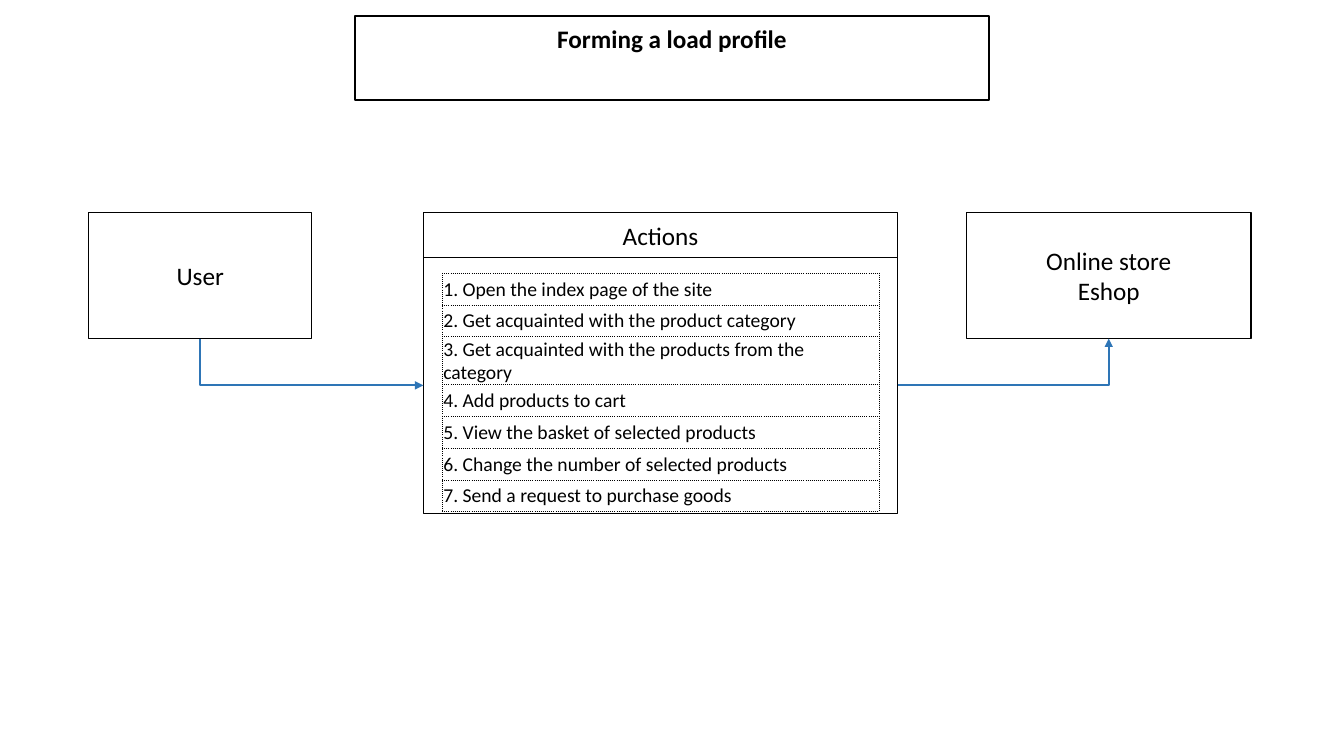
from collections import namedtuple

from lxml import etree
from pptx import Presentation
from pptx import util as u
from pptx.dml.color import RGBColor
from pptx.enum import shapes, text
from pptx.oxml import ns

BLACK = RGBColor(0x00, 0x00, 0x00)
BLUE = RGBColor(0x2E, 0x75, 0xB6)
WIDTH, HEIGHT = u.Inches(13.33), u.Inches(7.5)
COLUMN, ROW = WIDTH / 100, HEIGHT / 100
BOTTOM, LEFT, RIGHT = 2, 1, 3
ACTIONS = (
    "Open the index page of the site",
    "Get acquainted with the product category",
    "Get acquainted with the products from the category",
    "Add products to cart",
    "View the basket of selected products",
    "Change the number of selected products",
    "Send a request to purchase goods",
)
Box = namedtuple("Box", "left top width height")


def grid(column, row, columns, rows):
    """Return a box measured on the grid of 100 columns by 100 rows."""
    return Box(*map(round, (column * COLUMN, row * ROW, columns * COLUMN, rows * ROW)))


def part(box, left, top, width, height):
    """Return the box that covers the given shares of another box."""
    return Box(
        round(box.left + left * box.width),
        round(box.top + top * box.height),
        round(width * box.width),
        round(height * box.height),
    )


def assign(target, values):
    """Set every attribute named in a dict of format values."""
    for name, value in values.items():
        setattr(target, name, value)


def write(frame, lines, size, align, **para_format):
    """Fill a text frame with one paragraph per line."""
    frame.text = "\n".join(lines)
    for para in frame.paragraphs:
        assign(para, {"alignment": align, **para_format})
        for span in para.runs:
            assign(span.font, {"size": u.Pt(size), "name": "Calibri"})
            span.font.color.rgb = BLACK


def outline(shape, color, width):
    """Give a shape or connector a plain line."""
    shape.line.color.rgb = color
    shape.line.width = u.Pt(width)


def add_title(page, box):
    """Place the framed slide title."""
    title = page.shapes.title
    assign(title, box._asdict())
    outline(title, BLACK, 1.5)
    write(title.text_frame, ["Forming a load profile"], 18, text.PP_ALIGN.CENTER,
          line_spacing=1.07, space_after=u.Pt(8))
    title.text_frame.paragraphs[0].runs[0].font.bold = True
    assign(title.text_frame, {
        "vertical_anchor": text.MSO_ANCHOR.TOP,
        "auto_size": text.MSO_AUTO_SIZE.SHAPE_TO_FIT_TEXT,
    })


def add_block(page, box, *lines):
    """Draw an unfilled rectangle with centred lines of text."""
    block = page.shapes.add_shape(shapes.MSO_SHAPE.RECTANGLE, *box)
    block.shadow.inherit = False
    block.fill.background()
    outline(block, BLACK, 1)
    if lines:
        write(block.text_frame, lines, 18, text.PP_ALIGN.CENTER)
        block.text_frame.vertical_anchor = text.MSO_ANCHOR.MIDDLE
    return block


def add_dotted_borders(cell):
    """Draw thin dotted borders on all four sides of a cell."""
    properties = cell._tc.get_or_add_tcPr()
    for side in ("a:lnL", "a:lnR", "a:lnT", "a:lnB"):
        border = etree.SubElement(properties, ns.qn(side), w=str(u.Pt(0.25)))
        fill = etree.SubElement(border, ns.qn("a:solidFill"))
        etree.SubElement(fill, ns.qn("a:srgbClr"), val=str(BLACK))
        etree.SubElement(border, ns.qn("a:prstDash"), val="dot")


def add_action_table(page, box):
    """List the numbered actions in a one-column table."""
    table = page.shapes.add_table(len(ACTIONS), 1, *box).table
    assign(table, {"first_row": False, "horz_banding": False})
    inset = u.Inches(0.01)
    for number, (cell, action) in enumerate(zip(table.iter_cells(), ACTIONS), 1):
        write(cell.text_frame, [f"{number}. {action}"], 14, text.PP_ALIGN.LEFT)
        assign(cell, {
            "vertical_anchor": text.MSO_ANCHOR.MIDDLE,
            "margin_left": inset,
            "margin_right": inset,
            "margin_top": inset,
            "margin_bottom": 0,
        })
        add_dotted_borders(cell)
        cell.fill.background()


def add_actions(page, box):
    """Draw the actions panel and return its body frame."""
    add_block(page, part(box, 0, 0, 1, 0.15), "Actions")
    body = part(box, 0, 0.15, 1, 0.85)
    add_action_table(page, part(body, 0.04, 0.06, 0.92, 0.87))
    return add_block(page, body)


def add_arrow(page, source, source_side, target, target_side):
    """Join two blocks with a one-bend arrow."""
    arrow = page.shapes.add_connector(shapes.MSO_CONNECTOR.ELBOW, 0, 0, 0, 0)
    arrow.begin_connect(source, source_side)
    arrow.end_connect(target, target_side)
    outline(arrow, BLUE, 1.5)
    properties = arrow.element.spPr
    properties.find(ns.qn("a:prstGeom")).set("prst", "bentConnector2")
    etree.SubElement(properties.find(ns.qn("a:ln")), ns.qn("a:tailEnd"), type="triangle")
    etree.SubElement(properties, ns.qn("a:effectLst"))
    if source_side == BOTTOM:
        turn = (arrow.width - arrow.height) // 2
        assign(arrow, {
            "left": arrow.left + turn,
            "top": arrow.top - turn,
            "width": arrow.height,
            "height": arrow.width,
        })
        frame = properties.find(ns.qn("a:xfrm"))
        frame.set("rot", str(270 * 60000))
        frame.set("flipH", "1")


def main():
    """Build and save the load profile slide."""
    deck = Presentation()
    assign(deck, {"slide_width": WIDTH, "slide_height": HEIGHT})
    page = deck.slides.add_slide(deck.slide_layouts.get_by_name("Title Only"))
    add_title(page, grid(26.4, 2.1, 47.2, 5.5))
    user = add_block(page, grid(6.6, 28.1, 16.6, 16.7), "User")
    actions = add_actions(page, grid(31.5, 28.1, 35.3, 39.8))
    store = add_block(page, grid(71.9, 28.1, 21.2, 16.7), "Online store", "Eshop")
    add_arrow(page, user, BOTTOM, actions, LEFT)
    add_arrow(page, actions, RIGHT, store, BOTTOM)
    deck.save("out.pptx")


if __name__ == "__main__":
    main()
